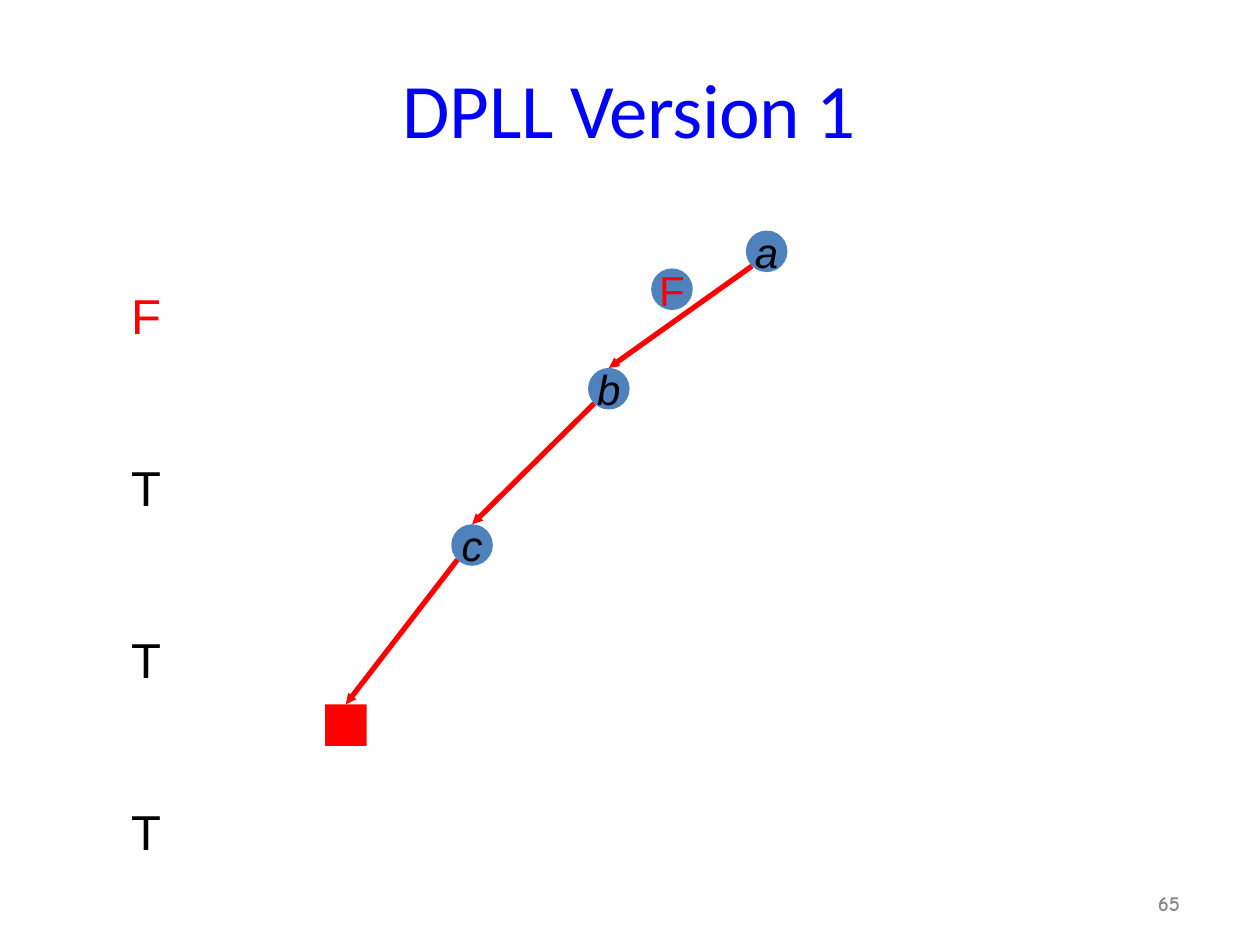
import math
from dataclasses import dataclass

import pptx
import pptx.dml.color
import pptx.enum.shapes
import pptx.enum.text
import pptx.oxml
import pptx.oxml.ns
import pptx.util

Inches = pptx.util.Inches
Pt = pptx.util.Pt
RGB = pptx.dml.color.RGBColor.from_string
Align = pptx.enum.text.PP_ALIGN
Shape = pptx.enum.shapes.MSO_SHAPE


@dataclass(frozen=True)
class Theme:
    """Colours, fonts and sizes of the slide."""
    title: str = "0000FF"
    node: str = "4F81BC"
    accent: str = "FF0000"
    ink: str = "000000"
    muted: str = "888888"
    title_font: str = "Calibri"
    body_font: str = "Arial"
    number_font: str = "Comic Neue"
    title_size: int = 44
    label_size: int = 28
    node_size: int = 24
    number_size: int = 12
    edge_width: int = 3


THEME = Theme()
NODE_DIAMETER = 0.33


def format_text(paragraph, font_name, size, color, bold=False, italic=False):
    """Format every run of a paragraph."""
    for run in paragraph.runs:
        font = run.font
        font.name, font.size = font_name, Pt(size)
        font.bold, font.italic = bold, italic
        font.color.rgb = RGB(color)


def clear_margins(frame, top=0.0):
    """Remove the insets of a text frame, except an optional top one."""
    frame.margin_left = frame.margin_right = frame.margin_bottom = 0
    frame.margin_top = Inches(top)


def add_text_frame(slide, box, top_margin):
    """Add a text box with a top inset and return its frame."""
    frame = slide.shapes.add_textbox(*map(Inches, box)).text_frame
    clear_margins(frame, top_margin)
    frame.word_wrap = True
    return frame


def add_title(slide, box):
    """Place the centred, slightly tightened heading."""
    frame = add_text_frame(slide, box, 0.03)
    frame.word_wrap = False
    frame.text = "DPLL Version 1"
    heading = frame.paragraphs[0]
    heading.alignment = Align.CENTER
    format_text(heading, THEME.title_font, THEME.title_size, THEME.title)
    heading.runs[0].font._element.set("spc", "-25")


def add_assignments(slide, box):
    """Place the column of truth values at an even pitch."""
    frame = add_text_frame(slide, box, 0.26)
    frame.text = "F\nT\nT\nT"
    for level, value in enumerate(frame.paragraphs):
        value.space_before = Pt(64.6 if level else 0)
        color = THEME.ink if level else THEME.accent
        format_text(value, THEME.body_font, THEME.label_size, color)


def add_mark(slide, kind, center, fill, label="", color=THEME.ink, italic=True):
    """Place a filled mark around a centre, with an optional label."""
    x, y = center
    radius = NODE_DIAMETER / 2
    mark = slide.shapes.add_shape(
        kind, Inches(x - radius), Inches(y - radius),
        Inches(NODE_DIAMETER), Inches(NODE_DIAMETER))
    mark.shadow.inherit = False
    mark.fill.solid()
    mark.fill.fore_color.rgb = RGB(fill)
    mark.line.fill.background()
    if label:
        frame = mark.text_frame
        clear_margins(frame)
        frame.word_wrap = False
        frame.vertical_anchor = pptx.enum.text.MSO_ANCHOR.MIDDLE
        frame.text = label
        frame.paragraphs[0].alignment = Align.CENTER
        format_text(frame.paragraphs[0], THEME.body_font, THEME.node_size,
                    color, italic=italic)


def add_branch(slide, parent, child):
    """Draw an arrow from the lower left of a parent to the top of its child."""
    radius = NODE_DIAMETER / 2
    offset = radius * math.sqrt(0.5)
    branch = slide.shapes.add_connector(
        pptx.enum.shapes.MSO_CONNECTOR.STRAIGHT,
        Inches(parent[0] - offset), Inches(parent[1] + offset),
        Inches(child[0]), Inches(child[1] - radius))
    branch.line.color.rgb = RGB(THEME.accent)
    branch.line.width = Pt(THEME.edge_width)
    namespace = pptx.oxml.ns.nsdecls("a")
    branch.line._get_or_add_ln().append(pptx.oxml.parse_xml(
        f'<a:tailEnd {namespace} type="triangle" w="sm" len="sm"/>'))
    branch._element.spPr.append(
        pptx.oxml.parse_xml(f"<a:effectLst {namespace}/>"))


def add_search_tree(slide, box):
    """Place the decision path and its conflict leaf inside a box."""
    left, top, width, height = box
    radius = NODE_DIAMETER / 2

    def inside(across, down):
        """Turn shares of the box into a mark's centre."""
        return (left + radius + across * (width - NODE_DIAMETER),
                top + radius + down * (height - NODE_DIAMETER))

    variables = {"a": inside(1, 0), "b": inside(0.625, 0.29),
                 "c": inside(0.3, 0.62)}
    conflict = inside(0, 1)
    for variable, center in variables.items():
        add_mark(slide, Shape.OVAL, center, THEME.node, variable)
    add_mark(slide, Shape.OVAL, inside(0.775, 0.08), THEME.node, "F",
             THEME.accent, italic=False)
    add_mark(slide, Shape.RECTANGLE, conflict, THEME.accent)
    path = [*variables.values(), conflict]
    for parent, child in zip(path, path[1:]):
        add_branch(slide, parent, child)


def add_slide_number(slide, box):
    """Place the slide number."""
    frame = add_text_frame(slide, box, 0.06)
    frame.margin_left = Inches(0.04)
    frame.text = "65"
    format_text(frame.paragraphs[0], THEME.number_font, THEME.number_size,
                THEME.muted, bold=True)


def main():
    """Build and save the slide."""
    deck = pptx.Presentation()
    deck.slide_width, deck.slide_height = Inches(10), Inches(7.5)
    slide = deck.slides.add_slide(deck.slide_layouts[6])
    add_title(slide, (3.16, 0.46, 3.67, 0.76))
    add_assignments(slide, (1.04, 2.01, 0.27, 4.75))
    add_search_tree(slide, (2.58, 1.83, 3.67, 4.09))
    add_slide_number(slide, (9.15, 7.01, 0.29, 0.26))
    deck.save("out.pptx")


if __name__ == "__main__":
    main()
